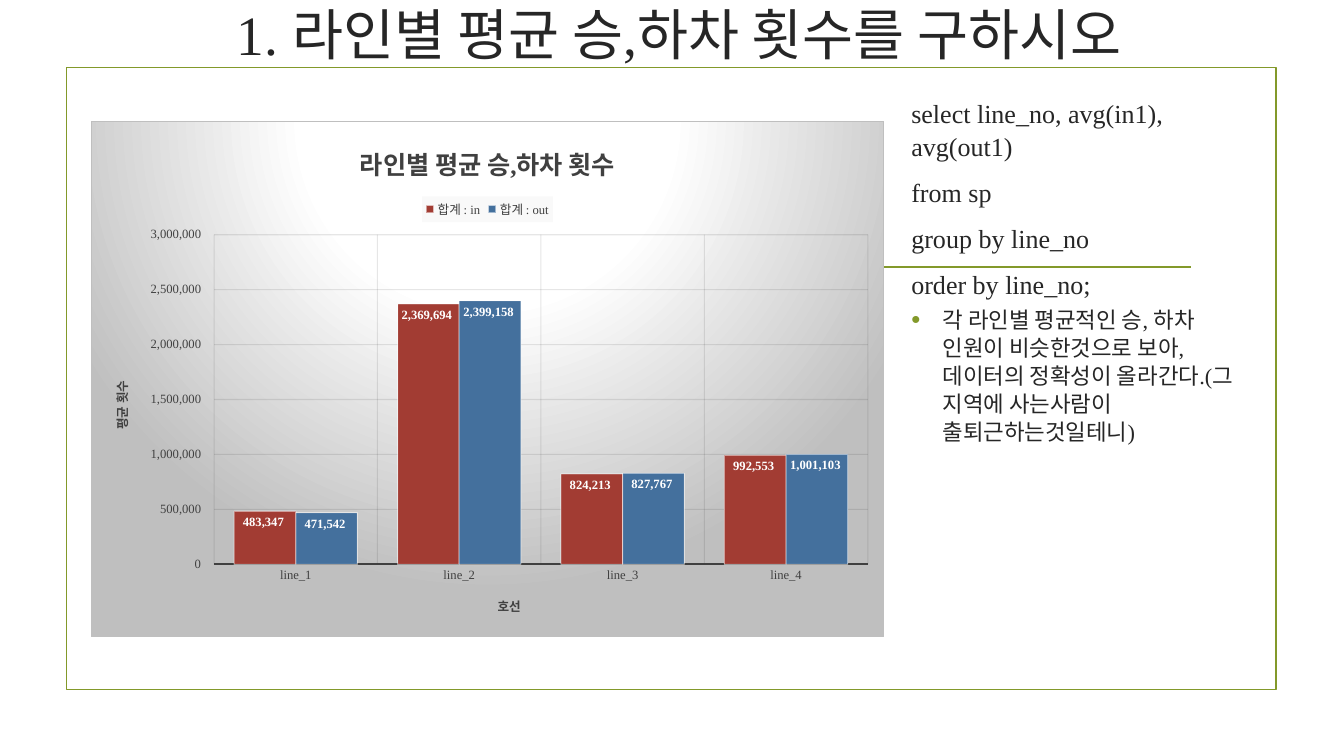
from dataclasses import dataclass

from lxml import etree
from pptx import Presentation
from pptx.chart.data import CategoryChartData
from pptx.dml.color import RGBColor
from pptx.enum import chart as ch, shapes, text
from pptx.oxml import parse_xml
from pptx.oxml.ns import nsdecls, qn
from pptx.util import Inches, Pt


@dataclass(frozen=True)
class Theme:
    font: str = "Times New Roman"
    ink: str = "262626"
    chart_ink: str = "404040"
    accent: str = "83992A"
    grid: str = "0D0D0D"
    white: str = "FFFFFF"
    silver: str = "BFBFBF"
    legend: str = "F2F2F2"
    title_size: float = 39.6
    query_size: float = 18.6
    chart_title_size: float = 18
    note_size: float = 16
    label_size: float = 9
    rule_width: float = 1.25
    hairline: float = 0.75


THEME = Theme()
NUMBER_FORMAT = "#,##0_ "
TITLE = "1. 라인별 평균 승,하차 횟수를 구하시오"
QUERY = ["select line_no, avg(in1), avg(out1)", "from sp",
         "group by line_no", "order by line_no;"]
NOTE = ("각 라인별 평균적인 승, 하차 인원이 비슷한것으로 보아, 데이터의 정확성이 "
        "올라간다.(그 지역에 사는사람이 출퇴근하는것일테니)")
LINES = ["line_1", "line_2", "line_3", "line_4"]
SERIES = [("합계 : in", [483347, 2369694, 824213, 992553], "A23C33"),
          ("합계 : out", [471542, 2399158, 827767, 1001103], "44709D")]


def inches(*lengths):
    return [Inches(length) for length in lengths]


def style_font(font, size, color, bold=False):
    font.name, font.size, font.bold = THEME.font, Pt(size), bold
    font.color.rgb = RGBColor.from_string(color)


def style_line(line, color, width):
    line.color.rgb = RGBColor.from_string(color)
    line.width = Pt(width)


def set_alpha(element, percent):
    """Make the first RGB colour inside the element partly transparent."""
    color = next(element.iter(qn("a:srgbClr")))
    etree.SubElement(color, qn("a:alpha"), val=str(percent * 1000))


def add_frame(page):
    box = page.shapes.add_shape(shapes.MSO_SHAPE.RECTANGLE,
                                *inches(0.66, 0.67, 12, 6.17))
    box.shadow.inherit = False
    box.fill.background()
    style_line(box.line, THEME.accent, THEME.rule_width)


def add_rule(page):
    rule = page.shapes.add_connector(shapes.MSO_CONNECTOR.STRAIGHT,
                                     *inches(1.53, 2.65, 11.81, 2.65))
    style_line(rule.line, THEME.accent, THEME.rule_width)
    etree.SubElement(rule._element.spPr, qn("a:effectLst"))


def add_bullet(para):
    para_format = para._p.get_or_add_pPr()
    para_format.set("marL", str(Inches(0.31)))
    para_format.set("indent", str(-Inches(0.31)))
    color = etree.SubElement(para_format, qn("a:buClr"))
    etree.SubElement(color, qn("a:srgbClr"), val=THEME.accent)
    etree.SubElement(para_format, qn("a:buSzPct"), val="115000")
    etree.SubElement(para_format, qn("a:buFont"), typeface="Arial")
    etree.SubElement(para_format, qn("a:buChar"), char="•")


def add_text(page, at, paragraphs, size, align=text.PP_ALIGN.LEFT,
             anchor=text.MSO_ANCHOR.TOP, spaced=True, bullet=False):
    frame = page.shapes.add_textbox(*inches(*at)).text_frame
    frame.word_wrap = True
    frame.vertical_anchor = anchor
    for index, words in enumerate(paragraphs):
        para = frame.add_paragraph() if index else frame.paragraphs[0]
        para.alignment = align
        if spaced:
            para.line_spacing = 1.04
            para.space_before, para.space_after = Pt(size * 0.2), Pt(6)
        if bullet:
            add_bullet(para)
        span = para.add_run()
        span.text = words
        style_font(span.font, size, THEME.ink)


def set_title(owner, words, size):
    """Give a chart or an axis a bold title."""
    owner.has_title = True
    title = owner.chart_title if hasattr(owner, "chart_title") else owner.axis_title
    span = title.text_frame.paragraphs[0].add_run()
    span.text = words
    style_font(span.font, size, THEME.chart_ink, bold=True)


def style_axis(axis, title, tick):
    set_title(axis, title, THEME.label_size)
    style_font(axis.tick_labels.font, THEME.label_size, THEME.chart_ink)
    axis.major_tick_mark = tick
    axis.minor_tick_mark = ch.XL_TICK_MARK.NONE
    axis.has_major_gridlines = True
    grid = axis.major_gridlines
    style_line(grid.format.line, THEME.grid, THEME.hairline)
    set_alpha(axis._element.find(qn("c:majorGridlines")), 10)


def style_series(series, color):
    series.format.fill.solid()
    series.format.fill.fore_color.rgb = RGBColor.from_string(color)
    style_line(series.format.line, THEME.white, THEME.hairline)
    set_alpha(series._element.spPr.find(qn("a:ln")), 50)
    labels = series.data_labels
    labels.show_value = True
    labels.position = ch.XL_LABEL_POSITION.INSIDE_END
    labels.number_format = NUMBER_FORMAT
    labels.number_format_is_linked = False
    style_font(labels.font, THEME.label_size, THEME.white, bold=True)


def add_legend(chart):
    chart.has_legend = True
    legend = chart.legend
    legend.position = ch.XL_LEGEND_POSITION.TOP
    legend.include_in_layout = False
    style_font(legend.font, THEME.label_size, THEME.chart_ink)
    fill = parse_xml(f'<c:spPr {nsdecls("c", "a")}><a:solidFill>'
                     f'<a:srgbClr val="{THEME.legend}"/></a:solidFill></c:spPr>')
    set_alpha(fill, 39)
    legend._element.find(qn("c:txPr")).addprevious(fill)


def fill_chart_area(chart):
    stops = "".join(
        f'<a:gs pos="{place * 1000}"><a:srgbClr val="{color}"/></a:gs>'
        for place, color in [(0, THEME.white), (39, THEME.white), (100, THEME.silver)])
    area = parse_xml(
        f'<c:spPr {nsdecls("c", "a")}><a:gradFill><a:gsLst>{stops}</a:gsLst>'
        '<a:path path="circle"><a:fillToRect l="50000" t="-80000" r="50000" b="180000"/>'
        f'</a:path></a:gradFill><a:ln w="{Pt(THEME.hairline)}"><a:solidFill>'
        f'<a:srgbClr val="{THEME.silver}"/></a:solidFill></a:ln></c:spPr>')
    chart._chartSpace.find(qn("c:chart")).addnext(area)


def place_plot(chart, **place):
    """Fix the inner plot area, in fractions of the chart."""
    plot_area = chart._chartSpace.find(qn("c:chart")).find(qn("c:plotArea"))
    for old in plot_area.findall(qn("c:layout")):
        plot_area.remove(old)
    values = {"layoutTarget": "inner", "xMode": "edge", "yMode": "edge", **place}
    parts = "".join(f'<c:{name} val="{value}"/>' for name, value in values.items())
    plot_area.insert(0, parse_xml(f'<c:layout {nsdecls("c")}><c:manualLayout>{parts}'
                                  '</c:manualLayout></c:layout>'))


def add_ride_chart(page):
    data = CategoryChartData(number_format=NUMBER_FORMAT)
    data.categories = LINES
    for name, values, _ in SERIES:
        data.add_series(name, values)
    chart = page.shapes.add_chart(ch.XL_CHART_TYPE.COLUMN_CLUSTERED,
                                  *inches(0.9, 1.2, 7.87, 5.12), data).chart
    chart.font.name, chart.font.size = THEME.font, Pt(10)
    set_title(chart, "라인별 평균 승,하차 횟수", THEME.chart_title_size)
    add_legend(chart)
    plot = chart.plots[0]
    plot.gap_width, plot.overlap, plot.vary_by_categories = 65, 0, False
    for series, (_, _, color) in zip(plot.series, SERIES):
        style_series(series, color)
    style_axis(chart.category_axis, "호선", ch.XL_TICK_MARK.NONE)
    style_line(chart.category_axis.format.line, THEME.chart_ink, 1.5)
    counts = chart.value_axis
    style_axis(counts, "평균 횟수", ch.XL_TICK_MARK.OUTSIDE)
    counts.format.line.fill.background()
    counts.minimum_scale, counts.maximum_scale, counts.major_unit = 0, 3000000, 500000
    counts.tick_labels.number_format = NUMBER_FORMAT
    counts.tick_labels.number_format_is_linked = False
    place_plot(chart, x=0.155, y=0.22, w=0.825, h=0.64)
    fill_chart_area(chart)


def main():
    deck = Presentation()
    deck.slide_width, deck.slide_height = inches(13.33, 7.5)
    page = deck.slides.add_slide(deck.slide_layouts[6])
    add_frame(page)
    add_rule(page)
    add_text(page, (0.9, 0.06, 11.67, 0.55), [TITLE], THEME.title_size, spaced=False,
             align=text.PP_ALIGN.CENTER, anchor=text.MSO_ANCHOR.MIDDLE)
    add_text(page, (8.94, 2.98, 3.62, 3.34), [NOTE], THEME.note_size, bullet=True)
    add_ride_chart(page)
    add_text(page, (8.94, 0.91, 3.62, 1.69), QUERY, THEME.query_size)
    deck.save("out.pptx")


if __name__ == "__main__":
    main()
